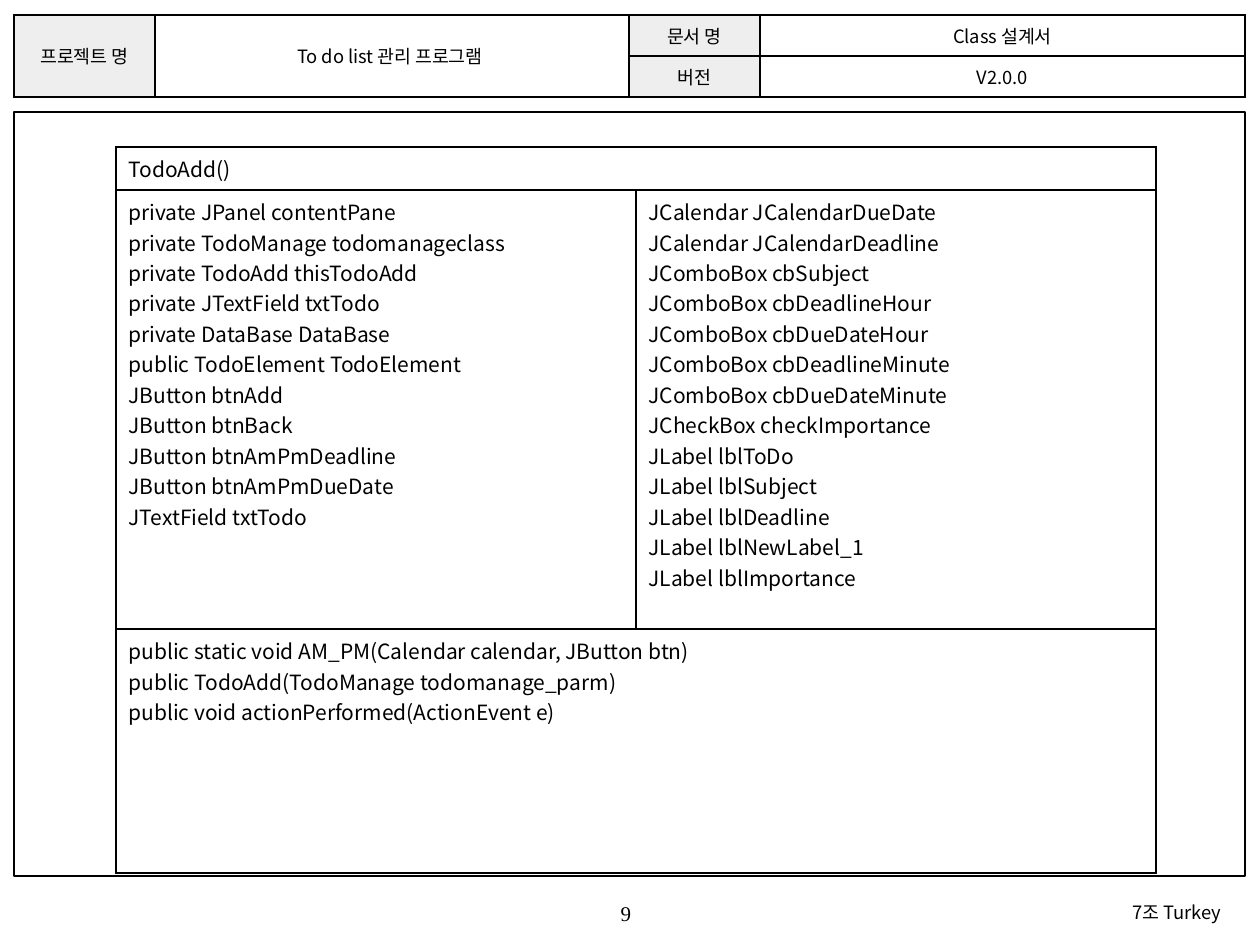
import lxml.etree
import pptx
import pptx.dml.color
import pptx.enum.shapes
import pptx.enum.text
import pptx.oxml.ns
import pptx.util
from dataclasses import dataclass

ALIGN = pptx.enum.text.PP_ALIGN
ANCHOR = pptx.enum.text.MSO_ANCHOR
EMU_PER_PIXEL = 914400 / 126


def px(value):
    return pptx.util.Emu(round(value * EMU_PER_PIXEL))


@dataclass(frozen=True)
class Theme:
    ink: str = "000000"
    label_fill: str = "EEEEEE"
    font: str = "Noto Sans CJK KR"
    number_font: str = "Times New Roman"
    small: float = 10.5
    body: float = 12
    frame_line: float = 0.75
    cell_line: float = 1


class SlideBuilder:
    def __init__(self, slide, theme):
        self.slide = slide
        self.theme = theme

    def color(self, value):
        return pptx.dml.color.RGBColor.from_string(value)

    def add_lines(self, frame, lines, size, align, font=None):
        font = font or self.theme.font
        for index, line in enumerate(lines):
            paragraph = frame.paragraphs[0] if index == 0 else frame.add_paragraph()
            paragraph.alignment = align
            run = paragraph.add_run()
            run.text = line
            run.font.size = pptx.util.Pt(size)
            run.font.name = font
            run.font.color.rgb = self.color(self.theme.ink)
            east_asian = lxml.etree.SubElement(
                run.font._element, pptx.oxml.ns.qn("a:ea"))
            east_asian.set("typeface", font)

    def text(self, box, line, size, align, font=None):
        shape = self.slide.shapes.add_textbox(*map(px, box))
        frame = shape.text_frame
        frame.word_wrap = True
        frame.vertical_anchor = ANCHOR.MIDDLE
        frame.margin_left = frame.margin_right = 0
        frame.margin_top = frame.margin_bottom = 0
        self.add_lines(frame, [line], size, align, font)

    def frame(self, box):
        shape = self.slide.shapes.add_shape(
            pptx.enum.shapes.MSO_SHAPE.RECTANGLE, *map(px, box))
        shape.shadow.inherit = False
        shape.fill.background()
        shape.line.color.rgb = self.color(self.theme.ink)
        shape.line.width = pptx.util.Pt(self.theme.frame_line)

    def border(self, cell):
        properties = cell._tc.get_or_add_tcPr()
        qn = pptx.oxml.ns.qn
        for index, side in enumerate(("lnL", "lnR", "lnT", "lnB")):
            line = lxml.etree.Element(qn("a:" + side))
            line.set("w", str(pptx.util.Pt(self.theme.cell_line)))
            fill = lxml.etree.SubElement(line, qn("a:solidFill"))
            lxml.etree.SubElement(fill, qn("a:srgbClr")).set("val", self.theme.ink)
            properties.insert(index, line)

    def table(self, left, top, columns, rows, merges, cells, size, align,
              anchor, margins=None, filled=()):
        table = self.slide.shapes.add_table(
            len(rows), len(columns), px(left), px(top),
            px(sum(columns)), px(sum(rows))).table
        table.first_row = table.horz_banding = False
        for column, width in zip(table.columns, columns):
            column.width = px(width)
        for row, height in zip(table.rows, rows):
            row.height = px(height)
        for start, end in merges:
            table.cell(*start).merge(table.cell(*end))
        for row in range(len(rows)):
            for column in range(len(columns)):
                cell = table.cell(row, column)
                cell.vertical_anchor = anchor
                if margins:
                    cell.margin_left = cell.margin_right = px(margins[0])
                    cell.margin_top = cell.margin_bottom = px(margins[1])
                if (row, column) in filled:
                    cell.fill.solid()
                    cell.fill.fore_color.rgb = self.color(self.theme.label_fill)
                else:
                    cell.fill.background()
                self.border(cell)
                if (row, column) in cells:
                    self.add_lines(cell.text_frame, cells[row, column], size, align)


presentation = pptx.Presentation()
presentation.slide_width = px(1260)
presentation.slide_height = px(945)
theme = Theme()
builder = SlideBuilder(
    presentation.slides.add_slide(presentation.slide_layouts[6]), theme)

# Page number
builder.text((495, 892, 262, 42), "9", theme.body, ALIGN.CENTER, theme.number_font)

# Document header
builder.table(
    14, 15, columns=(141, 474, 131, 485), rows=(41, 41),
    merges=[((0, 0), (1, 0)), ((0, 1), (1, 1))],
    cells={
        (0, 0): ["프로젝트 명"],
        (0, 1): ["To do list 관리 프로그램 "],
        (0, 2): ["문서 명"],
        (0, 3): ["Class 설계서"],
        (1, 2): ["버전"],
        (1, 3): ["V2.0.0"],
    },
    size=theme.small, align=ALIGN.CENTER, anchor=ANCHOR.MIDDLE,
    margins=(5, 2), filled={(0, 0), (1, 0), (0, 2), (1, 2)})

# Page frame and team name
builder.frame((14, 112, 1231, 764))
builder.text((835, 891, 386, 42), "7조 Turkey", theme.small, ALIGN.RIGHT)

# Class design: name, fields, methods
fields_left = [
    "private JPanel contentPane",
    "private TodoManage todomanageclass",
    "private TodoAdd thisTodoAdd ",
    "private JTextField txtTodo",
    "private DataBase DataBase",
    "public TodoElement TodoElement",
    "JButton btnAdd",
    "JButton btnBack",
    "JButton btnAmPmDeadline",
    "JButton btnAmPmDueDate",
    "JTextField txtTodo",
]
fields_right = [
    "JCalendar JCalendarDueDate",
    "JCalendar JCalendarDeadline",
    "JComboBox cbSubject ",
    "JComboBox cbDeadlineHour",
    "JComboBox cbDueDateHour",
    "JComboBox cbDeadlineMinute",
    "JComboBox cbDueDateMinute",
    "JCheckBox checkImportance",
    "JLabel lblToDo",
    "JLabel lblSubject",
    "JLabel lblDeadline",
    "JLabel lblNewLabel_1",
    "JLabel lblImportance",
]
methods = [
    "public static void AM_PM(Calendar calendar, JButton btn)",
    "public TodoAdd(TodoManage todomanage_parm)",
    "public void actionPerformed(ActionEvent e)",
]
builder.table(
    116, 147, columns=(520, 520), rows=(43, 439, 244),
    merges=[((0, 0), (0, 1)), ((2, 0), (2, 1))],
    cells={(0, 0): ["TodoAdd() "], (1, 0): fields_left,
           (1, 1): fields_right, (2, 0): methods},
    size=theme.body, align=ALIGN.LEFT, anchor=ANCHOR.TOP)

presentation.save("out.pptx")
